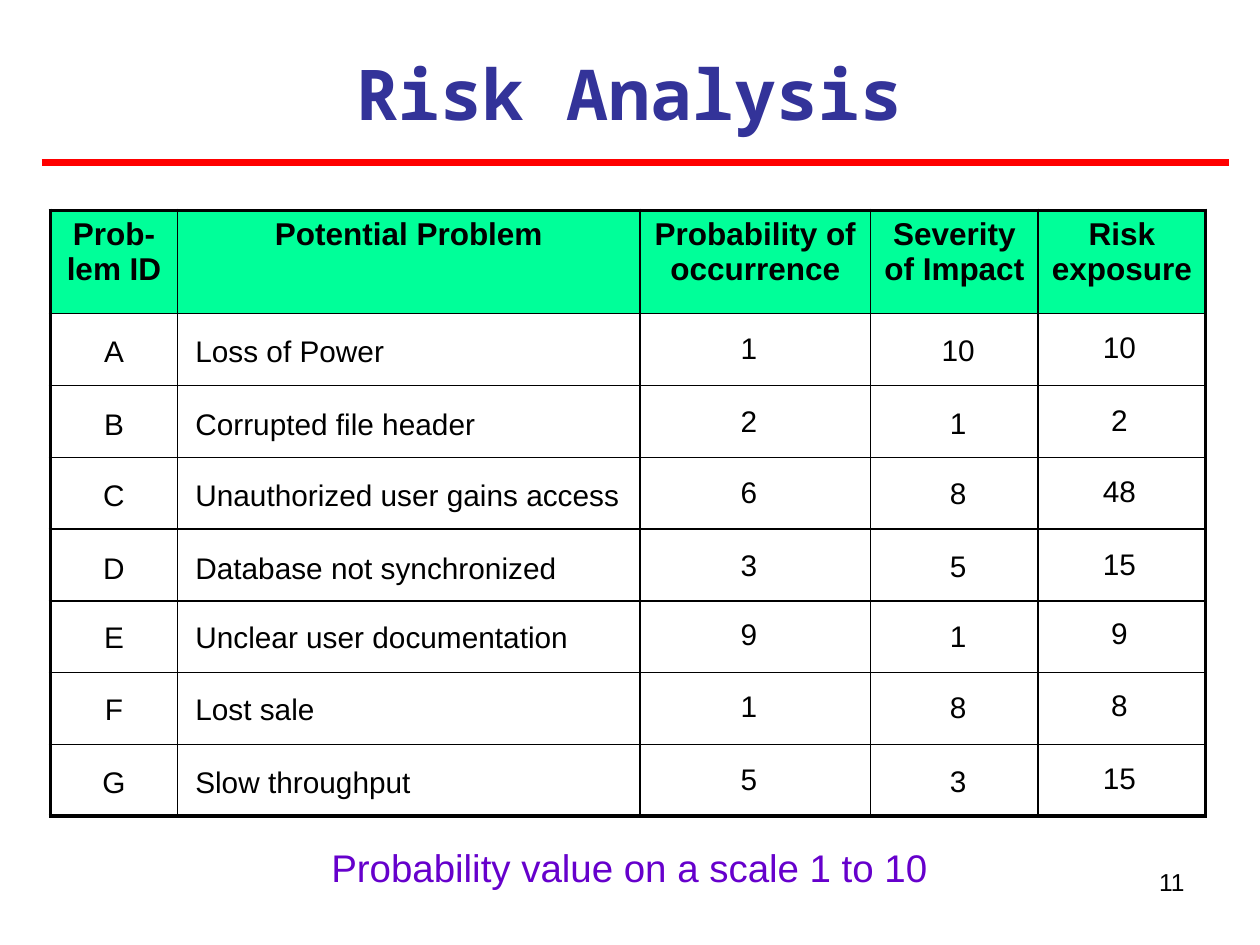
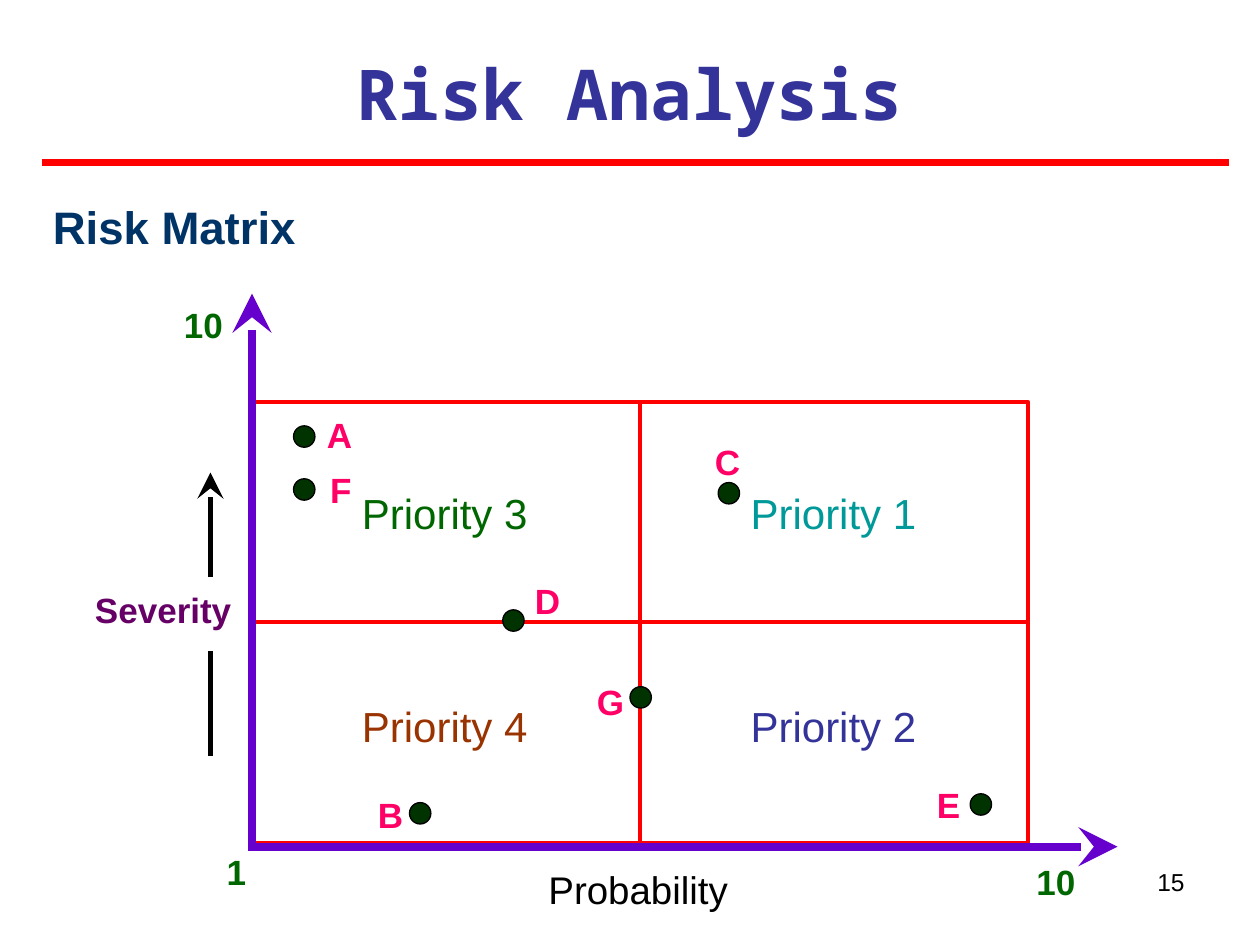
"""Build two risk analysis slides: a risk table and a risk matrix."""
from dataclasses import dataclass

from lxml import etree
from pptx import Presentation
from pptx import util as u
from pptx.dml.color import RGBColor
from pptx.enum import shapes, text
from pptx.oxml import ns


@dataclass(frozen=True)
class Theme:
    body: str = "Arial"
    mono: str = "Noto Sans Mono"
    ink: str = "000000"
    title: str = "333399"
    red: str = "FF0000"
    violet: str = "6600CC"
    header: str = "00FF99"
    heading: str = "003366"
    green: str = "006600"
    teal: str = "009999"
    brown: str = "993300"
    plum: str = "660066"
    pink: str = "FF0066"
    dot: str = "003300"
    title_size: int = 40
    heading_size: int = 26
    priority_size: int = 24
    caption_size: int = 22
    label_size: int = 20
    header_size: int = 18
    cell_size: int = 17
    number_size: int = 14


theme = Theme()
color = RGBColor.from_string
LEFT, CENTER, RIGHT = text.PP_ALIGN.LEFT, text.PP_ALIGN.CENTER, text.PP_ALIGN.RIGHT


def write(page, words, left, top, width, height, size, ink=theme.ink,
          bold=False, align=CENTER, font=theme.body, margins=(0, 0)):
    box = page.shapes.add_textbox(*map(u.Inches, (left, top, width, height)))
    frame = box.text_frame
    frame.word_wrap = True
    frame.margin_left = frame.margin_right = u.Inches(margins[0])
    frame.margin_top = frame.margin_bottom = u.Inches(margins[1])
    para = frame.paragraphs[0]
    para.text = words
    para.alignment = align
    para.font.name, para.font.size, para.font.bold = font, u.Pt(size), bold
    para.font.color.rgb = color(ink)


def draw_line(page, start, end, ink, width, arrow=False):
    line = page.shapes.add_connector(
        shapes.MSO_CONNECTOR.STRAIGHT, *map(u.Inches, (*start, *end)))
    line.line.color.rgb = color(ink)
    line.line.width = u.Pt(width)
    if arrow:
        etree.SubElement(line.line._get_or_add_ln(), ns.qn("a:tailEnd"),
                         type="stealth", w="lg", len="lg")
    etree.SubElement(line._element.spPr, ns.qn("a:effectLst"))


deck = Presentation()
deck.slide_width, deck.slide_height = u.Inches(10), u.Inches(7.5)
pages = []
for number in ("11", "15"):
    page = deck.slides.add_slide(deck.slide_layouts[6])
    write(page, "Risk Analysis", 0.33, 0.35, 9.33, 0.77, theme.title_size,
          theme.title, True, font=theme.mono, margins=(0.1, 0.05))
    draw_line(page, (0.33, 1.29), (9.75, 1.29), theme.red, 4.5)
    write(page, number, 7.17, 6.83, 2.33, 0.52, theme.number_size,
          align=RIGHT, margins=(0.1, 0.05))
    pages.append(page)
table_page, matrix_page = pages

headers = ("Prob- lem ID", "Potential Problem", "Probability of occurrence",
           "Severity of Impact", "Risk exposure")
column_widths = (1.01, 3.67, 1.83, 1.33, 1.33)
risks = (
    (2.64, "A", "Loss of Power", 1, 10),
    (3.22, "B", "Corrupted file header", 2, 1),
    (3.78, "C", "Unauthorized user gains access", 6, 8),
    (4.36, "D", "Database not synchronized", 3, 5),
    (4.91, "E", "Unclear user documentation", 9, 1),
    (5.48, "F", "Lost sale", 1, 8),
    (6.06, "G", "Slow throughput", 5, 3),
)
last_row, last_column = len(risks), len(headers) - 1

table = table_page.shapes.add_table(
    last_row + 1, last_column + 1, u.Inches(0.4), u.Inches(1.67),
    u.Inches(sum(column_widths)), u.Inches(4.83)).table
table.first_row = table.horz_banding = False
for column, width in zip(table.columns, column_widths):
    column.width = u.Inches(width)
for index, row in enumerate(table.rows):
    row.height = u.Inches(0.57 if index else 0.82)
    for position, cell in enumerate(row.cells):
        properties = cell._tc.get_or_add_tcPr()
        outer_edges = {"L": position == 0, "R": position == last_column,
                       "T": index == 0, "B": index == last_row}
        for side, outer in outer_edges.items():
            border = etree.SubElement(properties, ns.qn(f"a:ln{side}"),
                                      w=str(u.Pt(2.25 if outer else 1)))
            fill = etree.SubElement(border, ns.qn("a:solidFill"))
            etree.SubElement(fill, ns.qn("a:srgbClr"), val=theme.ink)
        if index:
            cell.fill.background()
            continue
        cell.fill.solid()
        cell.fill.fore_color.rgb = color(theme.header)
        para = cell.text_frame.paragraphs[0]
        para.text = headers[position]
        para.alignment = CENTER
        para.font.name, para.font.bold = theme.body, True
        para.font.size = u.Pt(theme.header_size)
        para.font.color.rgb = color(theme.ink)

entry_columns = ((0.57, 0, 0.67, CENTER), (1.55, 0, 3.42, LEFT),
                 (5.61, -0.02, 0.67, CENTER), (7.27, -0.01, 0.67, CENTER),
                 (8.55, -0.03, 0.67, CENTER))
for top, name, problem, probability, severity in risks:
    entries = (name, problem, probability, severity, probability * severity)
    for entry, (left, rise, width, align) in zip(entries, entry_columns):
        write(table_page, str(entry), left, top + rise, width, 0.28,
              theme.cell_size, align=align)
write(table_page, "Probability value on a scale 1 to 10", 0.33, 6.7, 9.33, 0.37,
      theme.caption_size, theme.violet)

write(matrix_page, "Risk Matrix", 0.42, 1.58, 9.33, 0.43,
      theme.heading_size, theme.heading, True, LEFT)
quadrant_width, quadrant_height = 3.08, 1.75
quadrants = (("Priority 3", 0, 0, theme.green), ("Priority 1", 1, 0, theme.teal),
             ("Priority 4", 0, 1, theme.brown), ("Priority 2", 1, 1, theme.title))
for _, column, row, _ in quadrants:
    quadrant = matrix_page.shapes.add_shape(
        shapes.MSO_SHAPE.RECTANGLE,
        u.Inches(2 + column * quadrant_width), u.Inches(3.19 + row * quadrant_height),
        u.Inches(quadrant_width), u.Inches(quadrant_height))
    quadrant.shadow.inherit = False
    quadrant.fill.background()
    quadrant.line.color.rgb = color(theme.red)
    quadrant.line.width = u.Pt(2.25)
draw_line(matrix_page, (1.97, 6.72), (8.87, 6.72), theme.violet, 4.5, True)
draw_line(matrix_page, (2, 6.73), (2, 2.33), theme.violet, 4.5, True)
for label, column, row, ink in quadrants:
    write(matrix_page, label, 2.45 + column * 3, 3.87 + row * 1.69,
          2.33 if column else 2.16, 0.4, theme.priority_size, ink)

dot_size = 0.17
plotted_risks = (
    ("A", 2.33, 3.38, 2.57, 3.28, CENTER),
    ("F", 2.33, 3.8, 2.58, 3.72, CENTER),
    ("C", 5.7, 3.83, 5.65, 3.5, CENTER),
    ("D", 3.99, 4.84, 4.22, 4.6, CENTER),
    ("B", 3.25, 6.37, 2.95, 6.3, RIGHT),
    ("G", 5, 5.45, 4.72, 5.4, CENTER),
    ("E", 7.7, 6.3, 7.37, 6.22, RIGHT),
)
for name, dot_left, dot_top, left, top, align in plotted_risks:
    dot = matrix_page.shapes.add_shape(
        shapes.MSO_SHAPE.OVAL,
        *map(u.Inches, (dot_left, dot_top, dot_size, dot_size)))
    dot.shadow.inherit = False
    dot.fill.solid()
    dot.fill.fore_color.rgb = color(theme.dot)
    dot.line.color.rgb = color(theme.ink)
    dot.line.width = u.Pt(0.75)
    write(matrix_page, name, left, top, 0.25, 0.33, theme.label_size,
          theme.pink, True, align)

for label, left, top, width, ink in (
        ("10", 1.45, 2.41, 0.33, theme.green),
        ("Severity", 0.67, 4.67, 1.25, theme.plum),
        ("1", 1.75, 6.75, 0.25, theme.green),
        ("10", 8.17, 6.83, 0.42, theme.green)):
    write(matrix_page, label, left, top, width, 0.33, theme.label_size, ink, True)
write(matrix_page, "Probability", 3.9, 6.87, 2.33, 0.37, theme.caption_size)
draw_line(matrix_page, (1.67, 5.17), (1.67, 6), theme.ink, 3)
draw_line(matrix_page, (1.67, 4.58), (1.67, 3.75), theme.ink, 3, True)

deck.save("out.pptx")
